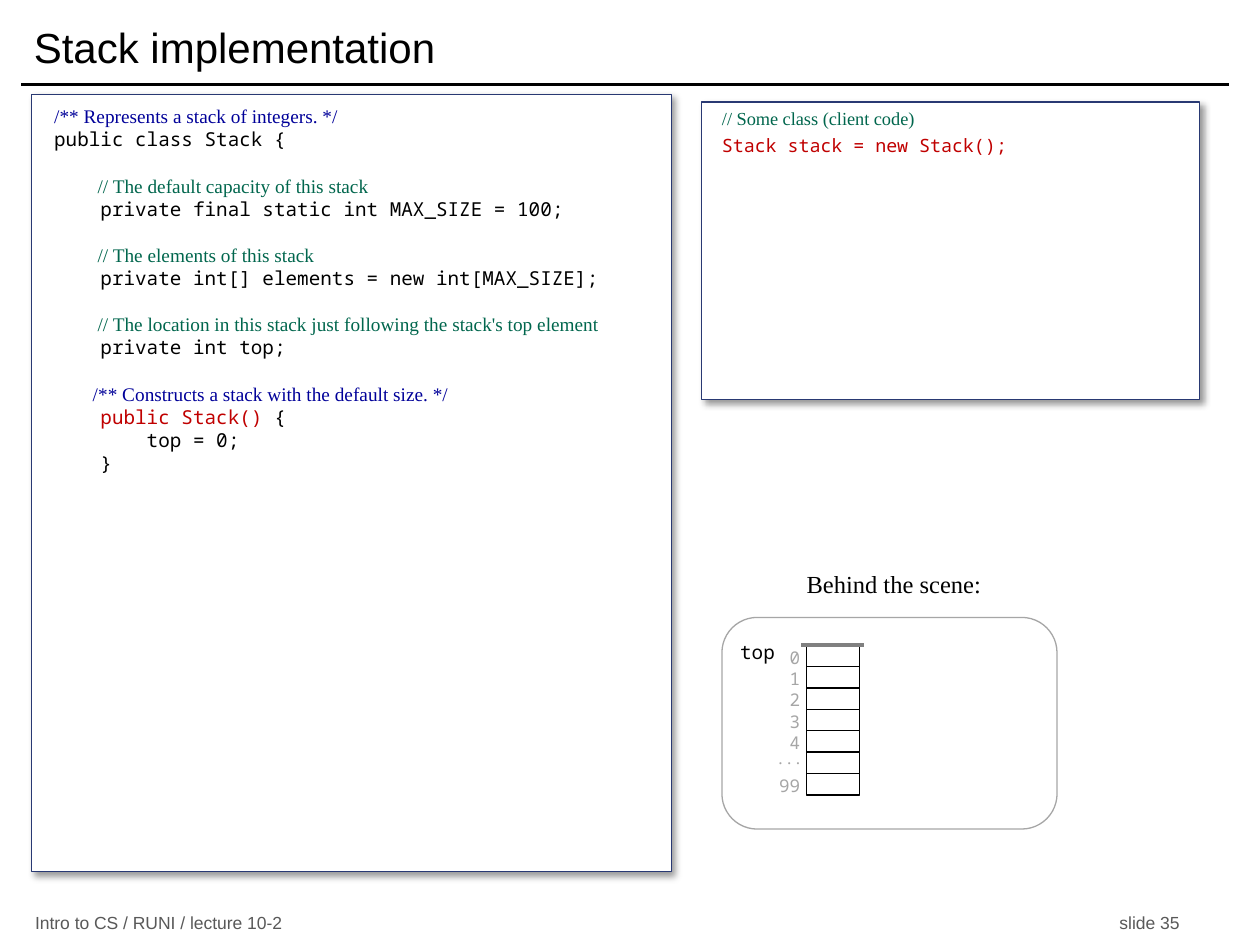
from pptx import Presentation
from pptx.dml.color import RGBColor
from pptx.enum.shapes import MSO_CONNECTOR, MSO_SHAPE
from pptx.enum.text import MSO_ANCHOR, MSO_AUTO_SIZE, PP_ALIGN
from pptx.oxml import parse_xml
from pptx.oxml.ns import nsdecls
from pptx.util import Inches, Pt

RECTANGLE = MSO_SHAPE.RECTANGLE
ROUNDED = MSO_SHAPE.ROUNDED_RECTANGLE
STRAIGHT = MSO_CONNECTOR.STRAIGHT
TOP, MIDDLE = MSO_ANCHOR.TOP, MSO_ANCHOR.MIDDLE
FIT_SHAPE = MSO_AUTO_SIZE.SHAPE_TO_FIT_TEXT
LEFT, CENTER, RIGHT = PP_ALIGN.LEFT, PP_ALIGN.CENTER, PP_ALIGN.RIGHT

BLACK = RGBColor(0x00, 0x00, 0x00)
WHITE = RGBColor(0xFF, 0xFF, 0xFF)
NAVY = RGBColor(0x29, 0x39, 0x73)
BLUE = RGBColor(0x00, 0x00, 0x99)
GREEN = RGBColor(0x00, 0x66, 0x4D)
RED = RGBColor(0xC0, 0x00, 0x00)
GRAY = RGBColor(0x80, 0x80, 0x80)
LIGHT_GRAY = RGBColor(0xA6, 0xA6, 0xA6)
FOOTER_GRAY = RGBColor(0x59, 0x59, 0x59)

SANS = "Arial"
SERIF = "Times New Roman"
MONO = "Noto Sans Mono"

DOC = (SERIF, BLUE)
COMMENT = (SERIF, GREEN)
CODE = (MONO, BLACK)
HIGHLIGHT = (MONO, RED)

CLASS_BLOCKS = [
    [
        [("/** Represents a stack of integers. */", DOC)],
        [("public class Stack {", CODE)],
    ],
    [
        [("         // The default capacity of this stack", COMMENT)],
        [("    private final static int MAX_SIZE = 100;", CODE)],
    ],
    [
        [("         // The elements of this stack", COMMENT)],
        [("    private int[] elements = new int[MAX_SIZE];", CODE)],
    ],
    [
        [("         // The location in this stack just following the stack's top element", COMMENT)],
        [("    private int top;", CODE)],
    ],
    [
        [("        /** Constructs a stack with the default size. */", DOC)],
        [("    public Stack() ", HIGHLIGHT), ("{", CODE)],
        [("        top = 0;", CODE)],
        [("    }", CODE)],
    ],
]
CLIENT_LINES = [
    [("// Some class (client code)", COMMENT)],
    [("Stack stack = new Stack();", HIGHLIGHT)],
]
CELL_LABELS = ["0", "1", "2", "3", "4", ". . .", "99"]
CELL_LEFT, CELL_TOP, CELL_WIDTH, CELL_HEIGHT = 6.4, 5.12, 0.42, 0.17

SHADOW = (
    f'<a:effectLst {nsdecls("a")}>'
    '<a:outerShdw blurRad="50800" dist="38100" dir="2700000" algn="tl" rotWithShape="0">'
    '<a:srgbClr val="000000"><a:alpha val="40000"/></a:srgbClr>'
    "</a:outerShdw></a:effectLst>"
)


class SlideBuilder:
    def __init__(self, slide):
        self.slide = slide

    def box(self, kind, left, top, width, height, line_color):
        shape = self.slide.shapes.add_shape(
            kind, Inches(left), Inches(top), Inches(width), Inches(height)
        )
        shape.shadow.inherit = False
        shape.fill.solid()
        shape.fill.fore_color.rgb = WHITE
        shape.line.color.rgb = line_color
        shape.line.width = Pt(0.75)
        return shape

    def line(self, left, right, y, color, width):
        connector = self.slide.shapes.add_connector(
            STRAIGHT, Inches(left), Inches(y), Inches(right), Inches(y)
        )
        connector.line.color.rgb = color
        connector.line.width = Pt(width)
        connector._element.spPr.append(parse_xml(f'<a:effectLst {nsdecls("a")}/>'))

    def frame(self, shape, anchor, insets):
        frame = shape.text_frame
        frame.word_wrap = True
        frame.vertical_anchor = anchor
        (frame.margin_left, frame.margin_top,
         frame.margin_right, frame.margin_bottom) = map(Inches, insets)
        return frame

    def run(self, paragraph, text, size, font, color):
        run = paragraph.add_run()
        run.text = text
        run.font.size = Pt(size)
        run.font.name = font
        run.font.color.rgb = color

    def label(self, text, left, top, width, height, size, font, color,
              align=LEFT, insets=(0.1, 0, 0.04, 0), grow=True):
        shape = self.slide.shapes.add_textbox(
            Inches(left), Inches(top), Inches(width), Inches(height)
        )
        frame = self.frame(shape, MIDDLE, insets)
        if grow:
            frame.auto_size = FIT_SHAPE
        paragraph = frame.paragraphs[0]
        paragraph.alignment = align
        self.run(paragraph, text, size, font, color)

    def code_panel(self, blocks, left, top, width, height, insets, size, gap):
        shape = self.box(RECTANGLE, left, top, width, height, NAVY)
        properties = shape._element.spPr
        properties.remove(properties.find("{*}effectLst"))
        properties.append(parse_xml(SHADOW))
        frame = self.frame(shape, TOP, insets)
        for block_index, block in enumerate(blocks):
            for line_index, runs in enumerate(block):
                first = block_index == line_index == 0
                paragraph = frame.paragraphs[0] if first else frame.add_paragraph()
                paragraph.alignment = LEFT
                paragraph.line_spacing = Pt(size * 1.2)
                if block_index and line_index == 0:
                    paragraph.space_before = Pt(gap)
                for text, (font, color) in runs:
                    self.run(paragraph, text, size, font, color)

    def array(self, labels):
        for index, text in enumerate(labels):
            top = CELL_TOP + index * CELL_HEIGHT
            self.box(RECTANGLE, CELL_LEFT, top, CELL_WIDTH, CELL_HEIGHT, BLACK)
            dots = text == ". . ."
            self.label(text, 5.97, top - 0.04 if dots else top + 0.01, 0.42, 0.17,
                       10, SERIF if dots else MONO, LIGHT_GRAY, RIGHT)
        self.line(6.36, 6.86, CELL_TOP, GRAY, 2.5)


def main():
    presentation = Presentation()
    presentation.slide_width = Inches(10)
    presentation.slide_height = Inches(7.5)
    builder = SlideBuilder(presentation.slides.add_slide(presentation.slide_layouts[6]))

    builder.line(0.17, 9.75, 0.67, BLACK, 2)
    for text, left, align in [
        ("Intro to CS / RUNI / lecture 10-2", 0.18, LEFT),
        ("slide 35", 6.46, RIGHT),
    ]:
        builder.label(text, left, 7.23, 3, 0.19, 10, SANS, FOOTER_GRAY, align,
                      (0.1, 0, 0.1, 0), grow=False)

    builder.box(ROUNDED, 5.73, 4.9, 2.66, 1.68, LIGHT_GRAY)
    builder.code_panel(CLASS_BLOCKS, 0.25, 0.75, 5.08, 6.17, (0.18, 0.08, 0, 0), 11, 13.2)
    builder.label("Stack implementation", 0.17, 0.08, 9.58, 0.58, 24, SANS, BLACK,
                  insets=(0.1, 0.05, 0.1, 0.05), grow=False)
    builder.code_panel([[line] for line in CLIENT_LINES], 5.57, 0.81, 3.95, 2.36,
                       (0.16, 0.04, 0, 0), 10.5, 3)
    builder.array(CELL_LABELS)
    builder.label("top", 5.77, 5.08, 0.42, 0.19, 11, MONO, BLACK, RIGHT)
    builder.label("Behind the scene:", 5.42, 4.51, 3.29, 0.24, 14, SERIF, BLACK, CENTER)

    presentation.save("out.pptx")


if __name__ == "__main__":
    main()
